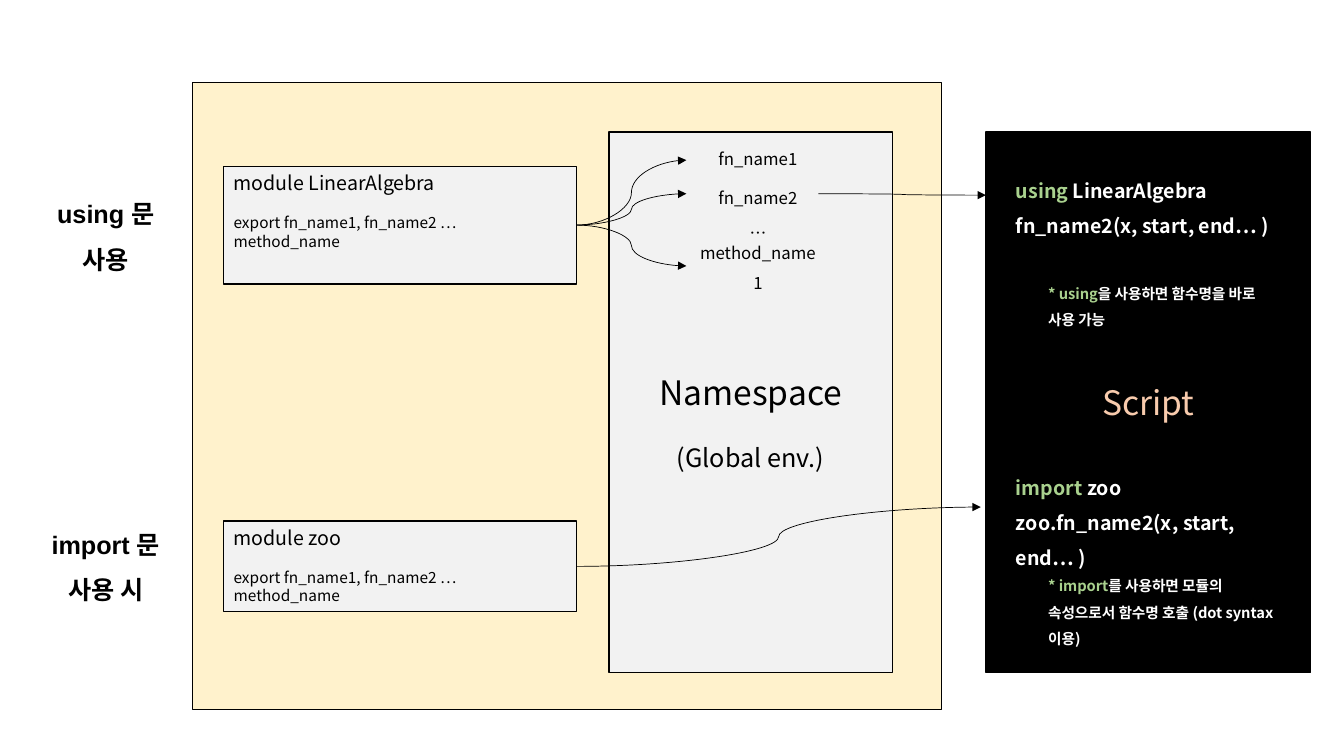
from dataclasses import dataclass

from lxml import etree
from pptx import Presentation
from pptx.dml.color import RGBColor
from pptx.enum.shapes import MSO_CONNECTOR, MSO_SHAPE
from pptx.enum.text import MSO_ANCHOR, PP_ALIGN
from pptx.oxml.ns import qn
from pptx.util import Pt

RECT = MSO_SHAPE.RECTANGLE
CURVE = MSO_CONNECTOR.CURVE
TOP, MIDDLE = MSO_ANCHOR.TOP, MSO_ANCHOR.MIDDLE
LEFT, CENTER = PP_ALIGN.LEFT, PP_ALIGN.CENTER


@dataclass(frozen=True)
class Theme:
    """Colours, fonts and type sizes of the slide."""
    black: str = "000000"
    white: str = "FFFFFF"
    cream: str = "FFF2CC"
    grey: str = "F2F2F2"
    green: str = "A9D18E"
    peach: str = "F8CBAD"
    font: str = "Noto Sans CJK KR"
    label_font: str = "Arial"
    title: float = 24
    label: float = 18
    code: float = 14
    name: float = 12
    export: float = 11
    note: float = 10.5


T = Theme()


@dataclass(frozen=True)
class Run:
    """A stretch of text in one style."""
    text: str
    size: float
    color: str = T.black
    bold: bool = False
    font: str = T.font


@dataclass(frozen=True)
class Para:
    """A paragraph with its alignment and spacing."""
    runs: tuple[Run, ...]
    align: PP_ALIGN = LEFT
    spacing: float = 1.0
    before: float = 0


@dataclass(frozen=True)
class Box:
    """A rectangle in points; without a fill it is a text box."""
    x: float
    y: float
    w: float
    h: float
    paras: tuple[Para, ...] = ()
    fill: str | None = None
    anchor: MSO_ANCHOR = MIDDLE
    right_inset: float = 7.2


@dataclass(frozen=True)
class Arrow:
    """A curved arrow between two points."""
    x1: float
    y1: float
    x2: float
    y2: float


def module(y: float, h: float, name: str) -> Box:
    """Describe a module box with its export list."""
    export = Run("export fn_name1, fn_name2 … method_name", T.export)
    return Box(159.8, y, 252, h, (Para((Run(f"module {name}", T.code),)),
                                  Para((export,), before=13.2)), T.grey, TOP)


def name_label(y: float, text: str) -> Box:
    """Describe one name listed in the namespace."""
    return Box(490.3, y, 102.2, 30.2, (Para((Run(text, T.name),), CENTER, 1.5),))


def side_label(y: float, text: str) -> Box:
    """Describe a row label at the left edge."""
    run = Run(text, T.label, bold=True, font=T.label_font)
    return Box(24.5, y, 102.2, 51.8, (Para((run,), CENTER, 1.5),))


def code(y: float, keyword: str, rest: str, call: str) -> Box:
    """Describe two lines of script code."""
    first = (Run(keyword, T.code, T.green, True), Run(rest, T.code, T.white, True))
    second = (Run(call, T.code, T.white, True),)
    return Box(718.6, y, 213.1, 59, (Para(first, spacing=1.5), Para(second, spacing=1.5)))


def note(y: float, w: float, keyword: str, rest: str, right_inset: float = 7.2) -> Box:
    """Describe a remark under a piece of code."""
    runs = (Run(keyword, T.note, T.green, True), Run(rest, T.note, T.white, True))
    return Box(741.6, y, w, 59, (Para(runs, spacing=1.5),), right_inset=right_inset)


NAMESPACE = (Para((Run("Namespace", T.title),), CENTER, 2),
             Para((Run("(Global env.)", T.label),), CENTER, 2))
SCRIPT = (Para((Run("Script", T.title, T.peach),), CENTER),)

BOXES = (
    Box(137.6, 59, 535, 448, fill=T.cream),
    module(118.8, 84.2, "LinearAlgebra"),
    Box(435, 94.4, 202.4, 386, NAMESPACE, T.grey),
    name_label(94.4, "fn_name1"),
    name_label(122.4, "fn_name2"),
    name_label(172.8, "method_name1"),
    name_label(147.6, "…"),
    module(372.2, 64.8, "zoo"),
    Box(704.2, 94.4, 231.8, 386, SCRIPT, T.black),
    code(115.2, "using ", "LinearAlgebra", "fn_name2(x, start, end… )"),
    code(339.8, "import", " zoo", "zoo.fn_name2(x, start, end… )"),
    side_label(137.5, "using 문 사용"),
    side_label(373.7, "import 문 사용 시"),
    note(186.5, 162.7, "* using", "을 사용하면 함수명을 바로 사용 가능"),
    note(404.6, 180, "* import",
         "를 사용하면 모듈의 속성으로서 함수명 호출 (dot syntax 이용)", 2.9),
)

ARROWS = (
    *(Arrow(411.8, 160.8, 490.3, y) for y in (190, 138.4, 114.4)),
    Arrow(584.6, 138.4, 704.2, 139.4),
    Arrow(411.8, 404.6, 700.6, 362.2),
)


def add_run(p, item: Run) -> None:
    """Add one styled run to a paragraph."""
    r = p.add_run()
    r.text = item.text
    f = r.font
    f.size, f.bold, f.name = Pt(item.size), item.bold, item.font
    f.color.rgb = RGBColor.from_string(item.color)
    latin = r._r.rPr.find(qn("a:latin"))
    ea = etree.Element(qn("a:ea"), typeface=T.font)
    latin.addnext(ea)


def add_box(s, box: Box) -> None:
    """Draw a filled rectangle or a text box with its text."""
    place = [Pt(v) for v in (box.x, box.y, box.w, box.h)]
    if box.fill:
        sp = s.shapes.add_shape(RECT, *place)
        sp.shadow.inherit = False
        sp.fill.solid()
        sp.fill.fore_color.rgb = RGBColor.from_string(box.fill)
        sp.line.color.rgb = RGBColor.from_string(T.black)
        sp.line.width = Pt(1)
    else:
        sp = s.shapes.add_textbox(*place)
    tf = sp.text_frame
    tf.word_wrap = True
    tf.vertical_anchor = box.anchor
    tf.margin_right = Pt(box.right_inset)
    for i, para in enumerate(box.paras):
        p = tf.add_paragraph() if i else tf.paragraphs[0]
        p.alignment = para.align
        p.line_spacing = para.spacing
        p.space_before = Pt(para.before)
        for item in para.runs:
            add_run(p, item)


def add_arrow(s, arrow: Arrow) -> None:
    """Draw a thin curved connector with an arrowhead."""
    ends = [Pt(v) for v in (arrow.x1, arrow.y1, arrow.x2, arrow.y2)]
    cxn = s.shapes.add_connector(CURVE, *ends)
    cxn.line.color.rgb = RGBColor.from_string(T.black)
    cxn.line.width = Pt(0.5)
    etree.SubElement(cxn.line._get_or_add_ln(), qn("a:tailEnd"), type="triangle")
    etree.SubElement(cxn._element.spPr, qn("a:effectLst"))


def main() -> None:
    """Build the slide and save it."""
    prs = Presentation()
    prs.slide_width, prs.slide_height = Pt(960), Pt(540)
    s = prs.slides.add_slide(prs.slide_layouts[6])
    for box in BOXES:
        add_box(s, box)
    for arrow in ARROWS:
        add_arrow(s, arrow)
    prs.save("out.pptx")


main()
